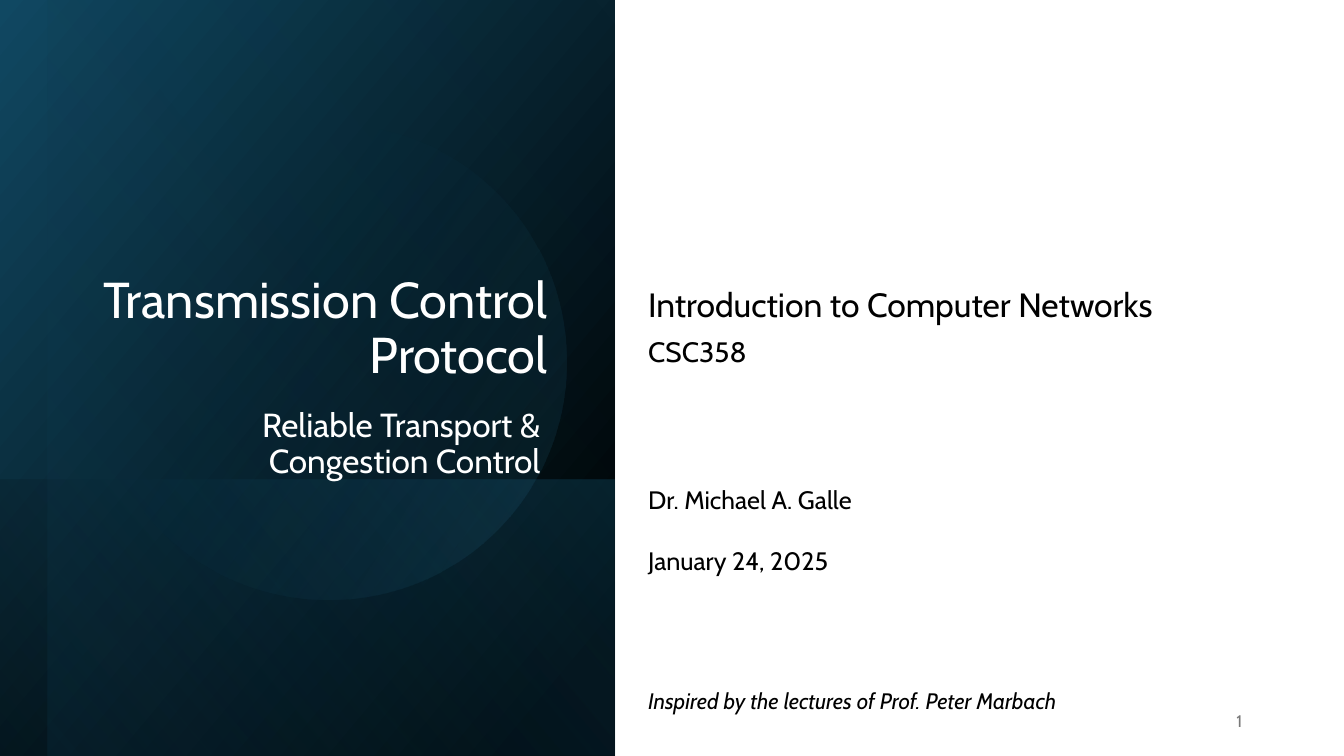
from lxml import etree
from pptx import Presentation, util as u
from pptx.dml.color import RGBColor
from pptx.enum import shapes, text
from pptx.oxml.ns import qn

PX = u.Inches(1) // 100  # 100 px to the inch
FONT = "Cabin"
COLORS = {
    "black": "000000",
    "white": "FFFFFF",
    "navy": "104862",
    "teal": "156082",
    "sky": "46B1E1",
    "gray": "797979",
}
RECT, OVAL = shapes.MSO_SHAPE.RECTANGLE, shapes.MSO_SHAPE.OVAL
LEFT, RIGHT = text.PP_ALIGN.LEFT, text.PP_ALIGN.RIGHT
TOP, MIDDLE, BOTTOM = text.MSO_ANCHOR.TOP, text.MSO_ANCHOR.MIDDLE, text.MSO_ANCHOR.BOTTOM


def color(name):
    return RGBColor.from_string(COLORS[name])


deck = Presentation()
deck.slide_width, deck.slide_height = 1333 * PX, 750 * PX
slide = deck.slides.add_slide(deck.slide_layouts[6])

# Dark left panel: preset, box, rotation, flipped, clockwise gradient angle,
# and stops as (percent, color, opacity percent)
panel_layers = [
    (RECT, (-70, 70, 750, 610), 90, True, 50, [(8, "black", 100), (100, "navy", 100)]),
    (RECT, (167, 308, 274, 610), 90, True, 130, [(2, "teal", 29), (100, "black", 30)]),
    (RECT, (-46, 93, 750, 563), 90, True, 130, [(0, "black", 0), (99, "teal", 11)]),
    (OVAL, (90, 123, 472, 472), 101.6, False, 290, [(39, "teal", 0), (100, "sky", 15)]),
]
for preset, box, rotation, flipped, angle, stops in panel_layers:
    layer = slide.shapes.add_shape(preset, *[v * PX for v in box])
    layer.rotation = rotation
    layer.shadow.inherit = False
    layer.line.fill.background()
    layer.fill.gradient()
    layer.fill.gradient_angle = 360 - angle
    for stop, (percent, name, _) in zip(layer.fill.gradient_stops, stops):
        stop.position = percent / 100
        stop.color.rgb = color(name)
    properties = layer._element.spPr
    if flipped:
        properties.find(qn("a:xfrm")).set("flipH", "1")
    for tint, (_, _, opacity) in zip(properties.iter(qn("a:srgbClr")), stops):
        if opacity < 100:
            etree.SubElement(tint, qn("a:alpha")).set("val", str(opacity * 1000))

# Text: box, anchor, color, paragraph format, and lines as (words, size, space before)
tight_left = {"alignment": LEFT, "line_spacing": 0.9}
tight_right = {"alignment": RIGHT, "line_spacing": 0.9}
text_blocks = [
    ((90, 64, 463, 322), BOTTOM, "white", tight_right,
     [("Transmission Control Protocol", 36, 0)]),
    ((168, 395, 385, 87), BOTTOM, "white", tight_right,
     [("Reliable Transport & ", 23.8, 0), ("Congestion Control ", 23.8, 0)]),
    ((633, 281, 678, 174), TOP, "black", tight_left,
     [("Introduction to Computer Networks", 24, 0), ("CSC358", 20, 10)]),
    ((633, 476, 320, 101), TOP, "black", {"alignment": LEFT},
     [("Dr. Michael A. Galle", 18, 0), ("January 24, 2025", 18, 22)]),
    ((633, 677, 740, 37), TOP, "black", {"alignment": LEFT},
     [("Inspired by the lectures of Prof. Peter Marbach", 16, 0)]),
    ((942, 695, 300, 40), MIDDLE, "gray", {"alignment": RIGHT}, [("1", 12, 0)]),
]
for box, anchor, ink, layout, lines in text_blocks:
    frame = slide.shapes.add_textbox(*[v * PX for v in box]).text_frame
    frame.word_wrap = True
    frame.vertical_anchor = anchor
    for i, (words, size, gap) in enumerate(lines):
        line = frame.add_paragraph() if i else frame.paragraphs[0]
        for key, value in layout.items():
            setattr(line, key, value)
        if gap:
            line.space_before = u.Pt(gap)
        run = line.add_run()
        run.text = words
        run.font.color.rgb = color(ink)
        style = {"name": FONT, "size": u.Pt(size), "italic": words.startswith("Inspired")}
        for key, value in style.items():
            setattr(run.font, key, value)

deck.save("out.pptx")
